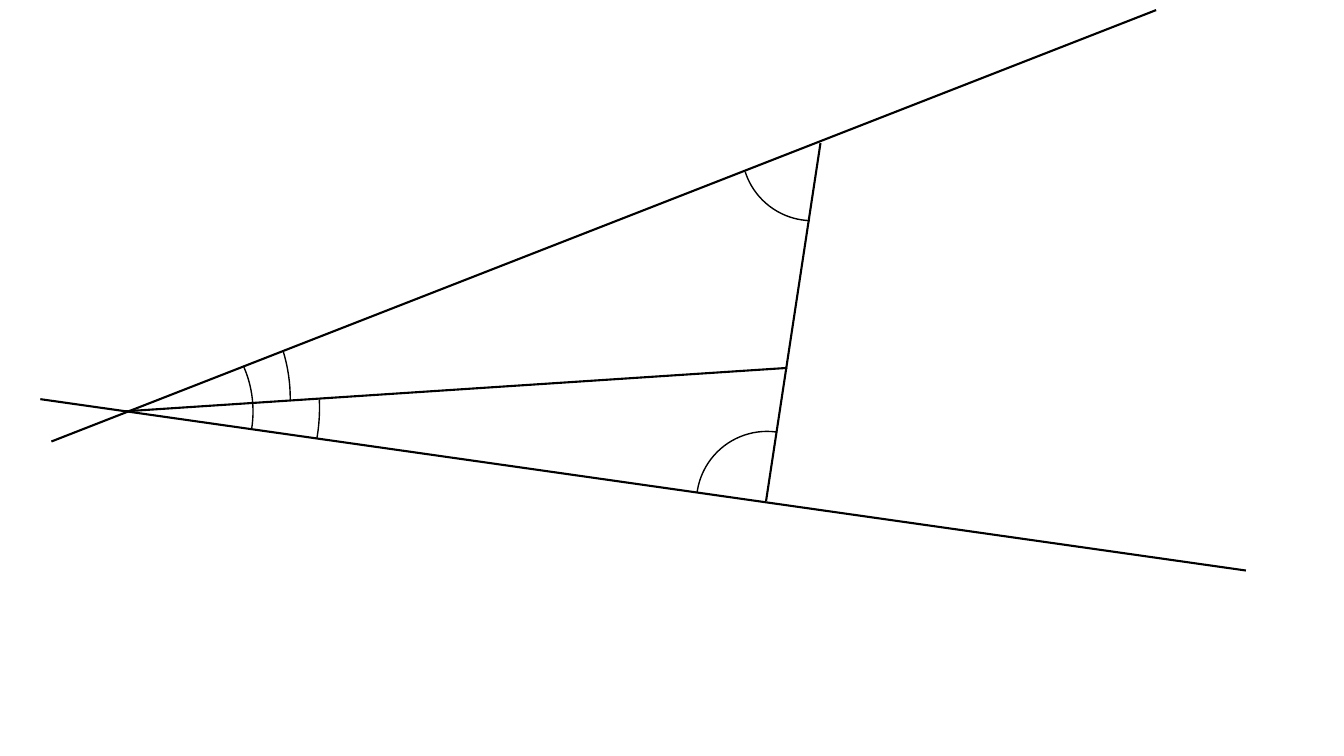
from typing import NamedTuple

from lxml import etree
from pptx import Presentation
from pptx.dml.color import RGBColor
from pptx.enum.shapes import MSO_CONNECTOR, MSO_SHAPE
from pptx.oxml.ns import qn
from pptx.slide import Slide
from pptx.util import Pt

STRAIGHT = MSO_CONNECTOR.STRAIGHT
ARC = MSO_SHAPE.ARC
COLORS = {"ink": "000000"}
ADJ_PER_DEGREE = 0.6  # arc angles are stored in 1/60000 degree, scaled by 100000


class Segment(NamedTuple):
    x1: float
    y1: float
    x2: float
    y2: float


class AngleMark(NamedTuple):
    cx: float
    cy: float
    radius: float
    start: float  # degrees, clockwise from the right
    end: float


SEGMENTS = [
    Segment(36.72, 315.36, 825.84, 7.2),       # upper ray
    Segment(28.8, 285.12, 889.92, 407.52),     # lower ray
    Segment(586.08, 102.24, 547.2, 357.84),    # side joining the rays
    Segment(562.32, 262.8, 90, 293.76),        # inner line from the vertex
]

ANGLE_MARKS = [
    AngleMark(100.8, 293.76, 79.92, 336.77, 9.4),      # whole vertex angle
    AngleMark(91.08, 284.76, 116.28, 343.27, 0.59),    # upper part
    AngleMark(580.32, 107.28, 50.4, 91.94, 162.25),    # top corner
    AngleMark(547.92, 358.56, 50.4, 187.79, 278.02),   # bottom corner
    AngleMark(98.28, 291.24, 129.96, 357.35, 9.86),    # lower part
]


def draw_segment(s: Slide, seg: Segment) -> None:
    line = s.shapes.add_connector(STRAIGHT, *(Pt(v) for v in seg))
    line.line.color.rgb = RGBColor.from_string(COLORS["ink"])
    line.line.width = Pt(1.5)
    etree.SubElement(line._element.spPr, qn("a:effectLst"))


def draw_angle_mark(s: Slide, mark: AngleMark) -> None:
    size = Pt(2 * mark.radius)
    sp = s.shapes.add_shape(ARC, Pt(mark.cx - mark.radius),
                            Pt(mark.cy - mark.radius), size, size)
    sp.adjustments[0] = mark.start * ADJ_PER_DEGREE
    sp.adjustments[1] = mark.end * ADJ_PER_DEGREE
    sp.shadow.inherit = False
    sp.fill.background()
    sp.line.color.rgb = RGBColor.from_string(COLORS["ink"])
    sp.line.width = Pt(1)


def main() -> None:
    prs = Presentation()
    prs.slide_width, prs.slide_height = Pt(960), Pt(540)
    s = prs.slides.add_slide(prs.slide_layouts[6])

    # Rays and triangle lines
    for seg in SEGMENTS:
        draw_segment(s, seg)

    # Angle arcs
    for mark in ANGLE_MARKS:
        draw_angle_mark(s, mark)

    prs.save("out.pptx")


if __name__ == "__main__":
    main()
